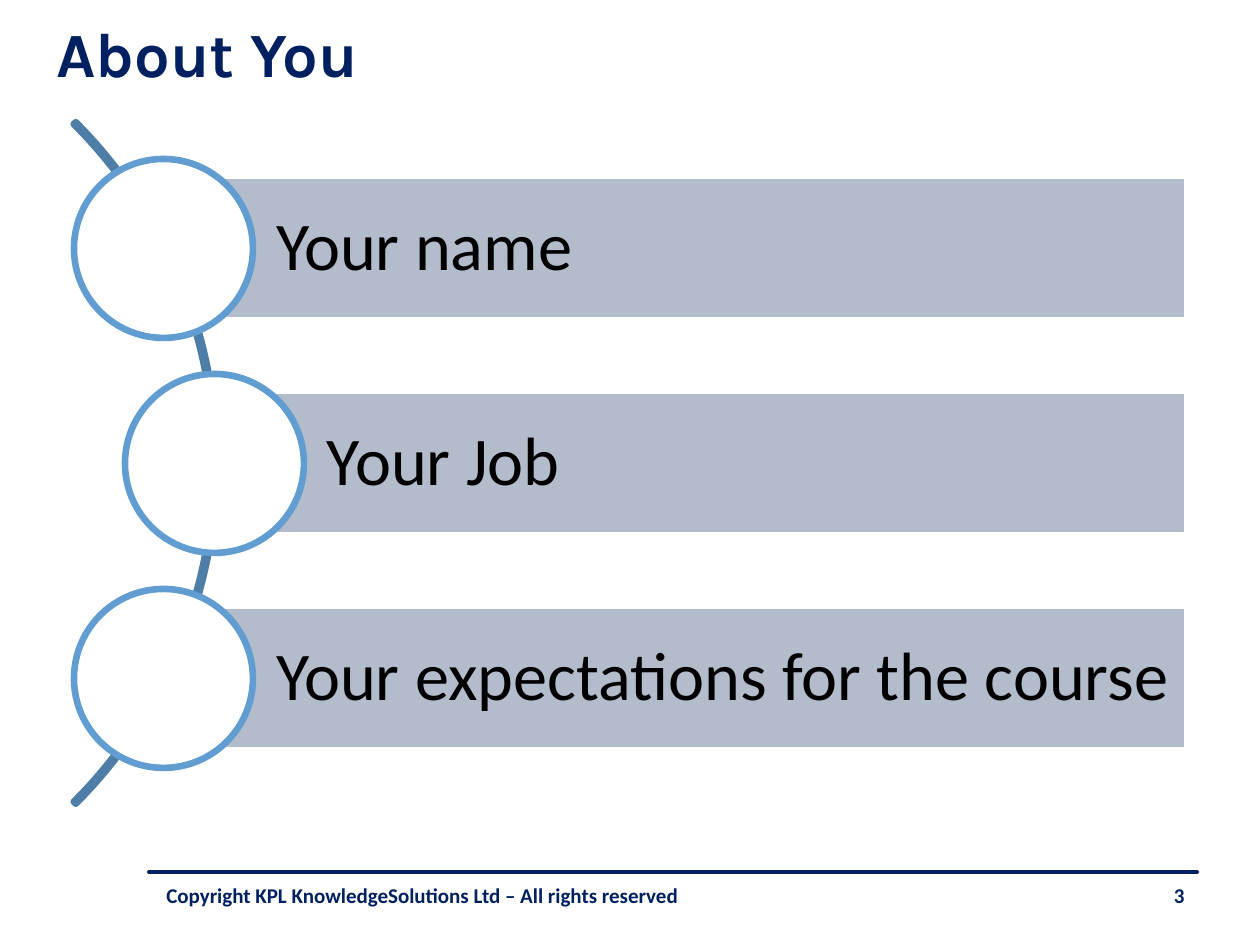
from dataclasses import dataclass

from lxml.etree import SubElement
from pptx import Presentation
from pptx.dml.color import RGBColor
from pptx.enum.shapes import MSO_CONNECTOR, MSO_SHAPE
from pptx.enum.text import MSO_ANCHOR as Anchor, PP_ALIGN as Align
from pptx.oxml.ns import qn
from pptx.util import Emu, Pt

EMU_PER_PX = 914400 / 126
NAVY, BAR, RING, ARC, WHITE, BLACK = (
    "002060", "B2BCCB", "629DD1", "4E7EA7", "FFFFFF", "000000")
OUTLINE = 3.78

# Rows follow one vertical rhythm; each bar starts at its circle's centre
FIRST_CENTER, ROW_PITCH = 248, 215
BAR_RIGHT, BAR_HEIGHT, CIRCLE = 1187, 144, 179
ARC_SIZE, ARC_LEFT = 964, -747


@dataclass
class Topic:
    text: str
    center_x: int


TOPICS = [
    Topic("Your name", 163),
    Topic("Your Job", 214),
    Topic("Your expectations for the course", 163),
]


def px(value: int) -> Emu:
    return Emu(round(value * EMU_PER_PX))


def color(value: str) -> RGBColor:
    return RGBColor.from_string(value)


def format_text(text_frame, size: int, fill: str, font_name: str = "Calibri",
                bold: bool = False, align=Align.LEFT) -> None:
    text_frame.word_wrap = True
    paragraph = text_frame.paragraphs[0]
    paragraph.alignment = align
    font = paragraph.runs[0].font
    font.name, font.size, font.bold = font_name, Pt(size), bold
    font.color.rgb = color(fill)


def add_shape(slide, kind, left: int, top: int, width: int, height: int,
              line: str, fill: str | None = None):
    shape = slide.shapes.add_shape(kind, px(left), px(top), px(width), px(height))
    shape.shadow.inherit = False
    if fill:
        shape.fill.solid()
        shape.fill.fore_color.rgb = color(fill)
    else:
        shape.fill.background()
    shape.line.color.rgb = color(line)
    shape.line.width = Pt(OUTLINE)
    return shape


def add_topic(slide, topic: Topic, center_y: int) -> None:
    bar = add_shape(slide, MSO_SHAPE.RECTANGLE, topic.center_x,
                    center_y - BAR_HEIGHT // 2, BAR_RIGHT - topic.center_x,
                    BAR_HEIGHT, WHITE, BAR)
    frame = bar.text_frame
    frame.text = topic.text
    frame.vertical_anchor = Anchor.MIDDLE
    frame.margin_left = px(113)
    frame.margin_top = frame.margin_right = frame.margin_bottom = px(14)
    frame.paragraphs[0].line_spacing = 0.9
    format_text(frame, 39, BLACK)
    add_shape(slide, MSO_SHAPE.OVAL, topic.center_x - CIRCLE // 2,
              center_y - CIRCLE // 2, CIRCLE, CIRCLE, RING, WHITE)


def add_footer_text(slide, text: str, left: int, width: int, align) -> None:
    box = slide.shapes.add_textbox(px(left), px(876), px(width), px(38))
    box.text_frame.text = text
    format_text(box.text_frame, 12, NAVY, bold=True, align=align)


def add_footer_rule(slide) -> None:
    rule = slide.shapes.add_connector(
        MSO_CONNECTOR.STRAIGHT, px(149), px(872), px(1197), px(872))
    rule.line.color.rgb = color(NAVY)
    rule.line.width = Pt(2.25)
    properties = rule._element.spPr
    properties.find(qn("a:ln")).set("cap", "rnd")
    SubElement(properties, qn("a:effectLst"))


def main() -> None:
    presentation = Presentation()
    presentation.slide_width, presentation.slide_height = px(1260), px(945)
    slide = presentation.slides.add_slide(presentation.slide_layouts[5])

    # Footer
    add_footer_rule(slide)
    add_footer_text(slide, "Copyright KPL KnowledgeSolutions Ltd – All rights reserved",
                    154, 833, Align.LEFT)
    add_footer_text(slide, "3", 829, 368, Align.RIGHT)

    # Title
    title = slide.shapes.title
    title.left, title.top, title.width, title.height = px(44), px(0), px(1216), px(105)
    title.text_frame.text = "About You"
    title.text_frame.vertical_anchor = Anchor.MIDDLE
    format_text(title.text_frame, 36, NAVY, "Karla", bold=True)

    # Arc centred on the middle row, from 315 to 45 degrees
    arc_top = FIRST_CENTER + ROW_PITCH - ARC_SIZE // 2
    arc = add_shape(slide, MSO_SHAPE.BLOCK_ARC, ARC_LEFT, arc_top,
                    ARC_SIZE, ARC_SIZE, ARC)
    for index, value in enumerate((189, 27, 0.003)):
        arc.adjustments[index] = value

    # Topic rows
    for row, topic in enumerate(TOPICS):
        add_topic(slide, topic, FIRST_CENTER + row * ROW_PITCH)

    presentation.save("out.pptx")


if __name__ == "__main__":
    main()
